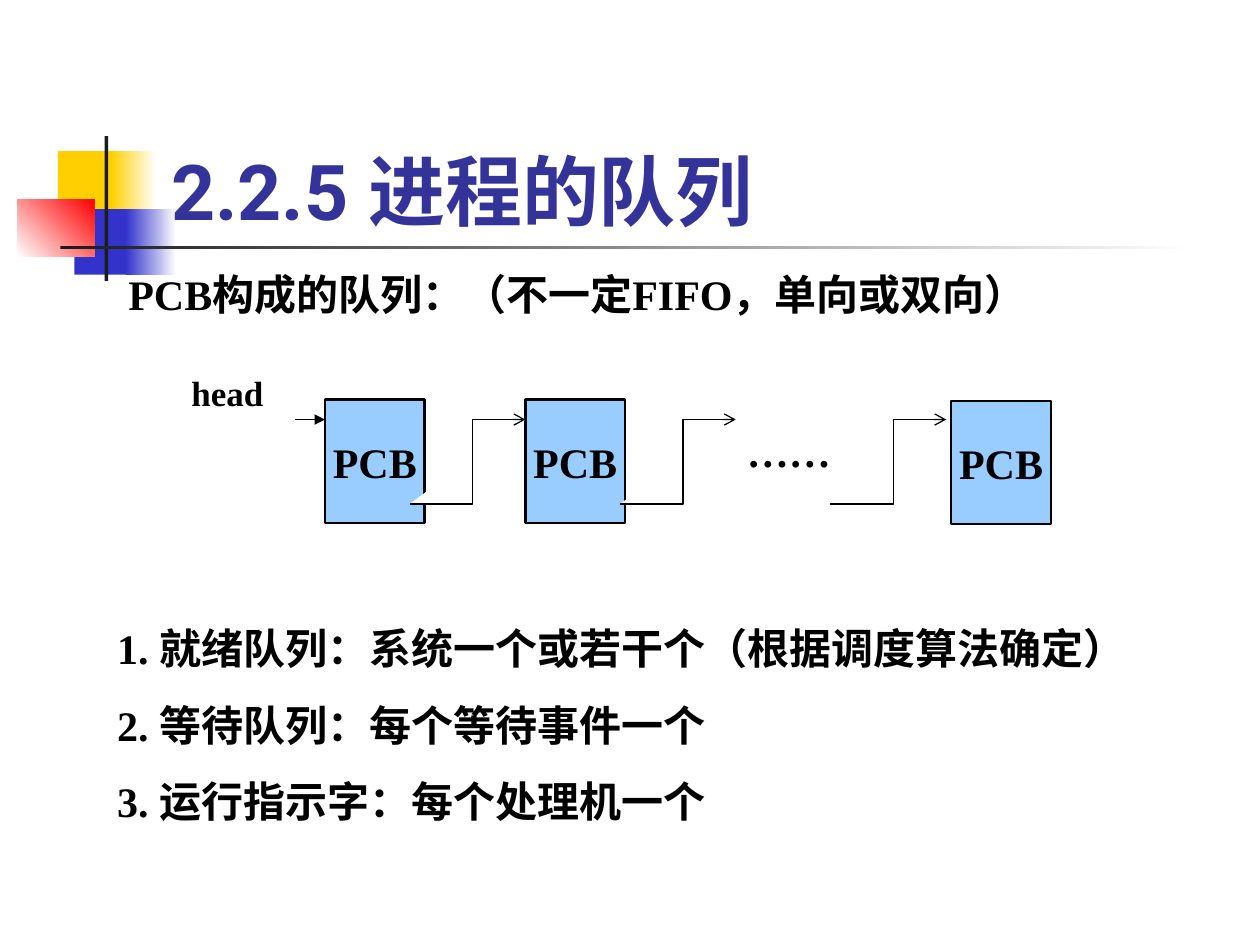
from lxml.etree import SubElement
from pptx import Presentation
from pptx.dml.color import RGBColor as RGB
from pptx.enum.shapes import MSO_CONNECTOR as LINK, MSO_SHAPE as SHAPE
from pptx.enum.text import MSO_ANCHOR as ANCHOR, MSO_AUTO_SIZE as AUTO, PP_ALIGN as ALIGN
from pptx.oxml.ns import qn
from pptx.util import Pt

PX = 9144  # EMU in one px, 100 px to the inch
COLORS = {
    "ink": "000000", "paper": "FFFFFF", "title": "333399", "box": "99CCFF",
    "gold": "FFCF01", "blue": "3333CC", "red": "FF0000", "dark": "1C1C1C",
}
BODY = {"name": "Times New Roman", "size": Pt(24), "bold": True}
HEAD = {"name": "Roboto", "size": Pt(44), "bold": True}
SMALL = {**BODY, "size": Pt(20)}


def color(name):
    return RGB.from_string(COLORS[name])


def emu(*lengths):
    return [n * PX for n in lengths]


class Deck:
    """Holds the style and the current slide."""

    def __init__(self, wide, high):
        self.prs = Presentation()
        self.prs.slide_width, self.prs.slide_height = emu(wide, high)
        self.slide = self.prs.slides.add_slide(self.prs.slide_layouts[1])
        self.shapes = self.slide.shapes

    def set_text(self, shape, lines, style, ink="ink", align=ALIGN.LEFT,
                 anchor=ANCHOR.TOP, wrap=True, gap=15):
        frame = shape.text_frame
        frame.auto_size = AUTO.NONE
        frame.word_wrap = wrap
        frame.vertical_anchor = anchor
        frame.text = "\n".join(lines)
        for i, para in enumerate(frame.paragraphs):
            para.alignment = align
            para.space_before = Pt(gap if i else 0)
            font = para.runs[0].font
            for key, value in style.items():
                setattr(font, key, value)
            font.color.rgb = color(ink)

    def holder(self, index, at, lines, style, **kind):
        """Place a template placeholder in front and fill it with plain lines."""
        shape = self.slide.placeholders[index]
        shape.left, shape.top, shape.width, shape.height = emu(*at)
        self.shapes._spTree.append(shape._element)
        self.set_text(shape, lines, style, **kind)
        for para in shape.text_frame.paragraphs:
            props = para._p.get_or_add_pPr()
            props.set("marL", "0")
            props.set("indent", "0")
            SubElement(props, qn("a:buNone"))

    def rect(self, at, fill, end=None, angle=0):
        """Draw a plain rectangle, or a gradient one when end is given."""
        shape = self.shapes.add_shape(SHAPE.RECTANGLE, *emu(*at))
        shape.shadow.inherit = False
        shape.line.fill.background()
        if end:
            shape.fill.gradient()
            shape.fill.gradient_angle = angle
            for stop, name in zip(shape.fill.gradient_stops, (fill, end)):
                stop.color.rgb = color(name)
        else:
            shape.fill.solid()
            shape.fill.fore_color.rgb = color(fill)
        return shape

    def node(self, at, text):
        shape = self.rect(at, "box")
        self.stroke(shape, 1.25)
        self.set_text(shape, [text], BODY, align=ALIGN.CENTER,
                      anchor=ANCHOR.MIDDLE, wrap=False)

    def label(self, at, text, style=BODY, fill=None):
        box = self.shapes.add_textbox(*emu(*at))
        if fill:
            box.fill.solid()
            box.fill.fore_color.rgb = color(fill)
        self.set_text(box, [text], style)

    def stroke(self, shape, width, tip=None):
        shape.line.color.rgb = color("ink")
        shape.line.width = Pt(width)
        if tip:
            line = shape._element.spPr.find(qn("a:ln"))
            SubElement(line, qn("a:tailEnd"), type=tip)

    def arrow(self, x1, y1, x2, y2):
        line = self.shapes.add_connector(LINK.STRAIGHT, *emu(x1, y1, x2, y2))
        self.stroke(line, 0.75, "triangle")
        SubElement(line._element.spPr, qn("a:effectLst"))

    def step(self, x, low, high):
        """Draw a stepped arrow that leaves at low and arrives at high."""
        outline = self.shapes.build_freeform(x, low, scale=PX)
        outline.add_line_segments([(x + 50, low), (x + 50, high), (x + 92, high)], close=False)
        shape = outline.convert_to_shape()
        shape.shadow.inherit = False
        shape.fill.solid()
        shape.fill.fore_color.rgb = color("paper")
        self.stroke(shape, 0.75, "arrow")


def main():
    deck = Deck(1000, 750)

    deck.rect((46, 120, 48, 52), "gold")
    deck.rect((88, 120, 36, 52), "gold", "paper")
    deck.rect((59, 166, 46, 52), "blue")
    deck.rect((100, 166, 40, 52), "blue", "paper")
    deck.rect((14, 158, 61, 46), "paper", "red", 45)
    deck.rect((83, 108, 3, 115), "dark")
    deck.rect((48, 195, 900, 3), "dark", "paper")

    deck.holder(0, (126, 67, 852, 125), ["2.2.5 进程的队列"], HEAD,
                ink="title", anchor=ANCHOR.BOTTOM)

    for x, y in ((258, 317), (417, 317), (755, 318)):
        deck.node((x, y, 79, 98), "PCB")
    deck.arrow(183, 333, 258, 333)
    for i in range(3):
        deck.step(325 + 167 * i, 400, 333)
    deck.label((583, 333, 108, 50), "……", fill="paper")
    deck.label((142, 290, 92, 44), "head", SMALL, "paper")

    deck.holder(1, (83, 489, 825, 212), [
        "1. 就绪队列：系统一个或若干个（根据调度算法确定）",
        "2. 等待队列：每个等待事件一个",
        "3. 运行指示字：每个处理机一个",
    ], BODY)
    deck.label((92, 208, 779, 50), "PCB构成的队列：（不一定FIFO，单向或双向）")

    deck.prs.save("out.pptx")


if __name__ == "__main__":
    main()
